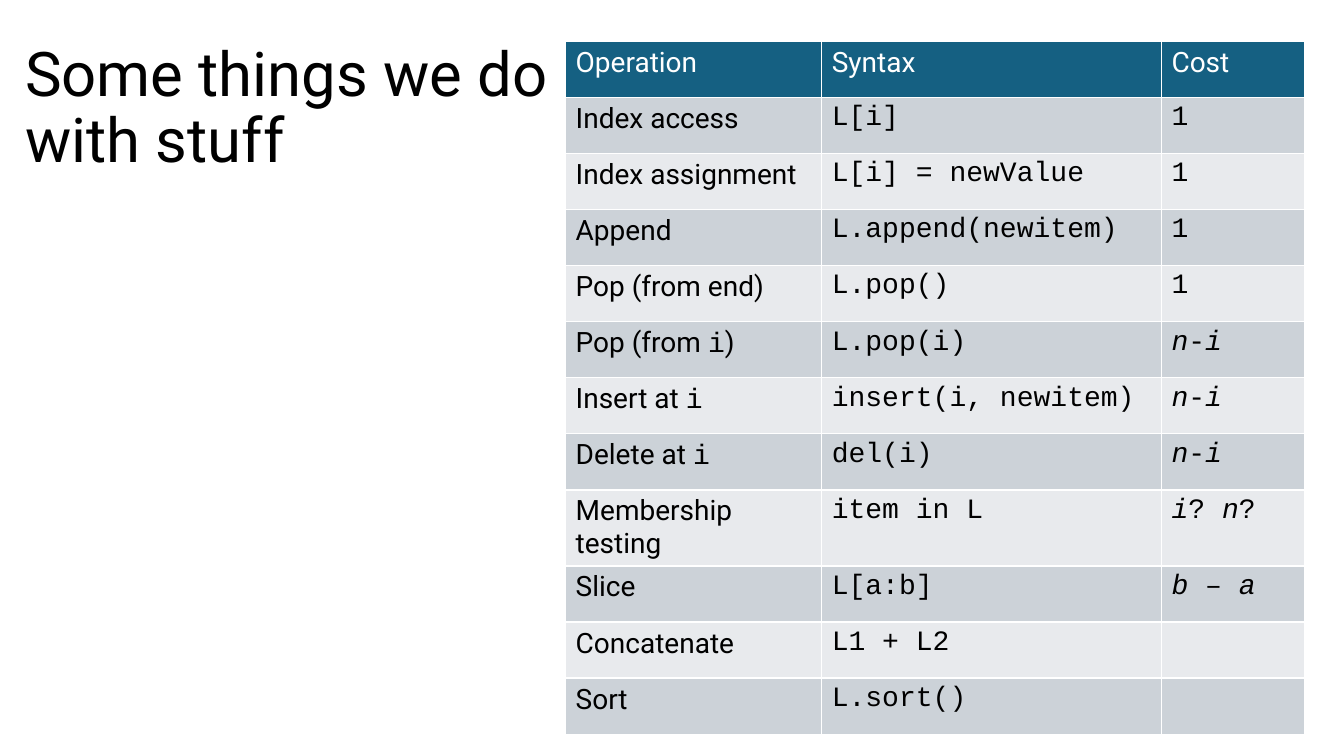
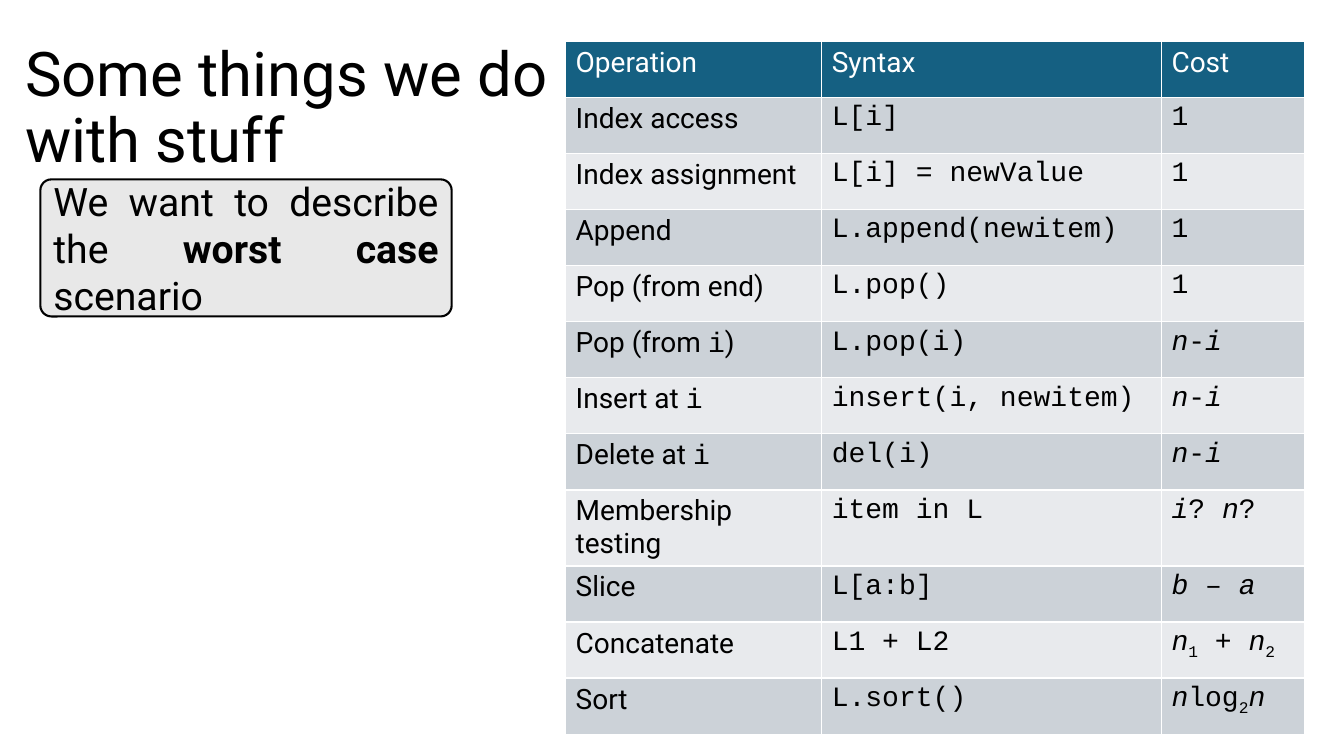
import pptx
import pptx.dml.color
import pptx.enum.shapes
import pptx.enum.text
import pptx.util
from pptx.util import Inches

COLORS = {
    "text": "000000",
    "header": "156082",
    "header_text": "FFFFFF",
    "band_dark": "CCD2D8",
    "band_light": "E8EAED",
    "callout": "E8E8E8",
}
SANS, MONO = "Roboto", "Courier New"
TITLE = "Some things we do\vwith stuff"
COLUMN_WIDTHS = (2.54, 3.37, 1.42)
TABLE_HEIGHT = 6.68

HEADER = ("Operation", "Syntax", "Cost")
N_MINUS_I = [("n", "italic"), ("-", ""), ("i", "italic")]
# A cell is a string or a list of (text, style) runs.
OPERATIONS = [
    ("Index access", "L[i]", "1"),
    ("Index assignment", "L[i] = newValue", "1"),
    ("Append", "L.append(newitem)", "1"),
    ("Pop (from end)", "L.pop()", "1"),
    ([("Pop (from ", ""), ("i", "code"), (")", "")], "L.pop(i)", N_MINUS_I),
    ([("Insert at ", ""), ("i", "code")], "insert(i, newitem)", N_MINUS_I),
    ([("Delete at ", ""), ("i", "code")], "del(i)", N_MINUS_I),
    ("Membership testing", "item in L",
     [("i", "italic"), ("?", ""), (" n", "italic"), ("?", "")]),
    ("Slice", "L[a:b]", [("b ", "italic"), ("– ", ""), ("a", "italic")]),
    ("Concatenate", "L1 + L2",
     [("n", "italic"), ("1", "sub"), (" + ", ""), ("n", "italic"), ("2", "sub")]),
    ("Sort", "L.sort()",
     [("n", "italic"), ("log", ""), ("2", "sub"), ("n", "italic")]),
]
UNKNOWN_COSTS = ("Concatenate", "Sort")


def rgb(name):
    return pptx.dml.color.RGBColor.from_string(COLORS[name])


def format_font(font, size, name=SANS, color="text"):
    font.size = pptx.util.Pt(size)
    font.name = name
    font.color.rgb = rgb(color)


def add_runs(p, content, size, name=SANS, color="text"):
    """Append a string or (text, style) runs to a paragraph."""
    runs = [(content, "")] if isinstance(content, str) else content
    for text, style in runs:
        r = p.add_run()
        r.text = text
        format_font(r.font, size, MONO if style == "code" else name, color)
        r.font.bold = style == "bold"
        r.font.italic = style == "italic"
        if style == "sub":
            r.font._element.set("baseline", "-25000")


def add_title(slide):
    sp = slide.shapes.title
    sp.left, sp.top = Inches(0.15), Inches(0.36)
    sp.width, sp.height = Inches(11.5), Inches(1.45)
    tf = sp.text_frame
    tf.text = TITLE
    tf.word_wrap = True
    tf.auto_size = pptx.enum.text.MSO_AUTO_SIZE.NONE
    tf.vertical_anchor = pptx.enum.text.MSO_ANCHOR.MIDDLE
    p = tf.paragraphs[0]
    p.alignment = pptx.enum.text.PP_ALIGN.LEFT
    p.line_spacing = 0.9
    for r in p.runs:
        format_font(r.font, 44)


def fill_cell(cell, content, fill, name=SANS, color="text"):
    cell.fill.solid()
    cell.fill.fore_color.rgb = rgb(fill)
    if content:
        add_runs(cell.text_frame.paragraphs[0], content, 20, name, color)


def add_cost_table(slide, operations):
    table = slide.shapes.add_table(
        len(operations) + 1, len(HEADER), Inches(5.61), Inches(0.41),
        Inches(sum(COLUMN_WIDTHS)), Inches(TABLE_HEIGHT)).table
    for column, width in zip(table.columns, COLUMN_WIDTHS):
        column.width = Inches(width)
    for col, label in enumerate(HEADER):
        fill_cell(table.cell(0, col), label, "header", color="header_text")
    for row, operation in enumerate(operations, start=1):
        band = "band_dark" if row % 2 else "band_light"
        for col, content in enumerate(operation):
            fill_cell(table.cell(row, col), content, band, MONO if col else SANS)


def add_callout(slide, content):
    sp = slide.shapes.add_shape(
        pptx.enum.shapes.MSO_SHAPE.ROUNDED_RECTANGLE,
        Inches(0.4), Inches(1.78), Inches(4.08), Inches(1.36))
    sp.adjustments[0] = 0.08
    sp.shadow.inherit = False
    sp.fill.solid()
    sp.fill.fore_color.rgb = rgb("callout")
    sp.line.color.rgb = rgb("text")
    sp.line.width = pptx.util.Pt(1.5)
    tf = sp.text_frame
    tf.word_wrap = True
    tf.vertical_anchor = pptx.enum.text.MSO_ANCHOR.MIDDLE
    p = tf.paragraphs[0]
    p.alignment = pptx.enum.text.PP_ALIGN.JUSTIFY
    add_runs(p, content, 28)


def add_cost_slide(prs, operations):
    slide = prs.slides.add_slide(prs.slide_layouts.get_by_name("Title Only"))
    add_title(slide)
    add_cost_table(slide, operations)
    return slide


def main():
    prs = pptx.Presentation()
    prs.slide_width, prs.slide_height = Inches(13.33), Inches(7.5)

    add_cost_slide(prs, [
        (name, syntax, "" if name in UNKNOWN_COSTS else cost)
        for name, syntax, cost in OPERATIONS])

    slide = add_cost_slide(prs, OPERATIONS)
    add_callout(slide, [("We want to describe the ", ""),
                        ("worst case", "bold"), (" scenario", "")])
    prs.save("out.pptx")


if __name__ == "__main__":
    main()
